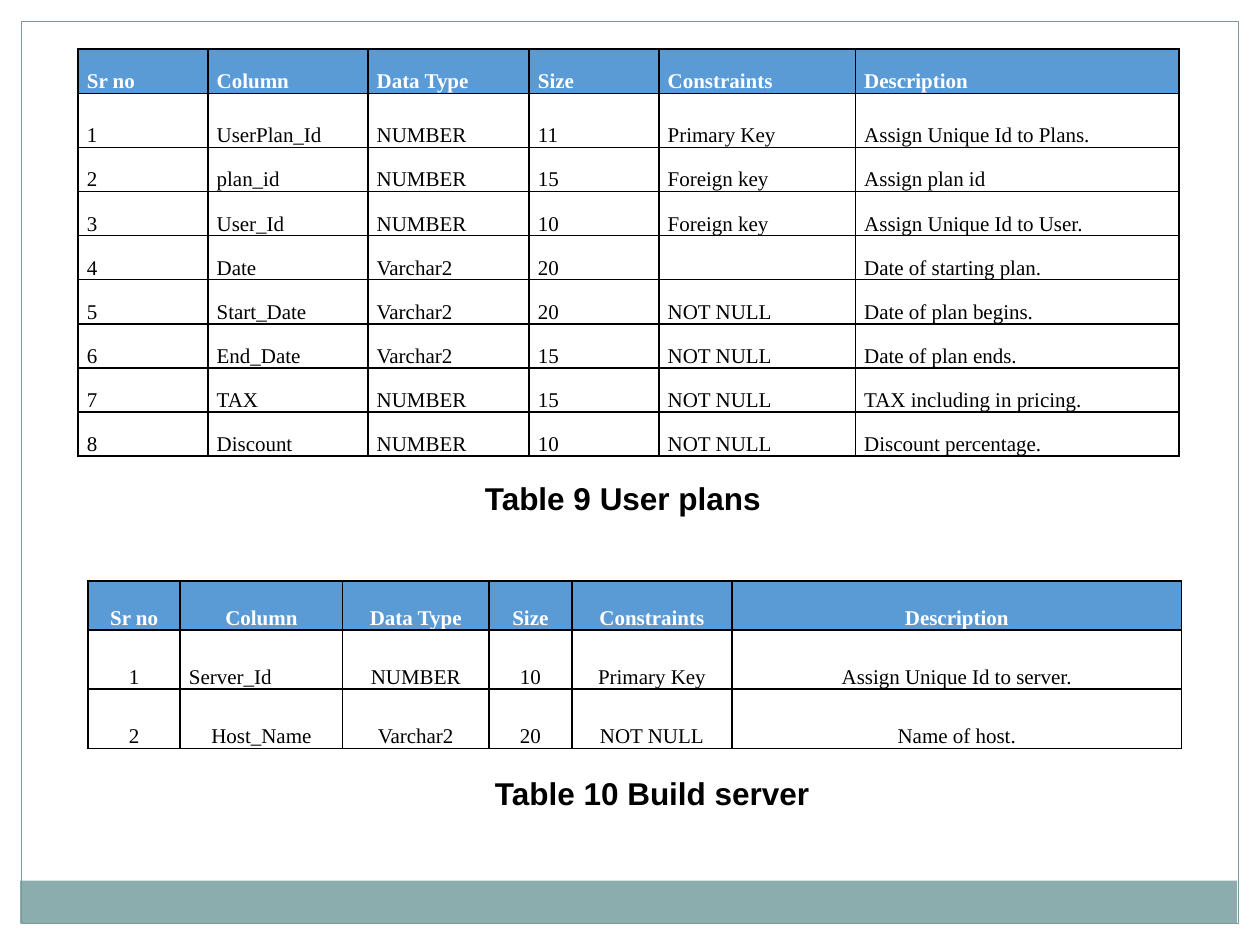
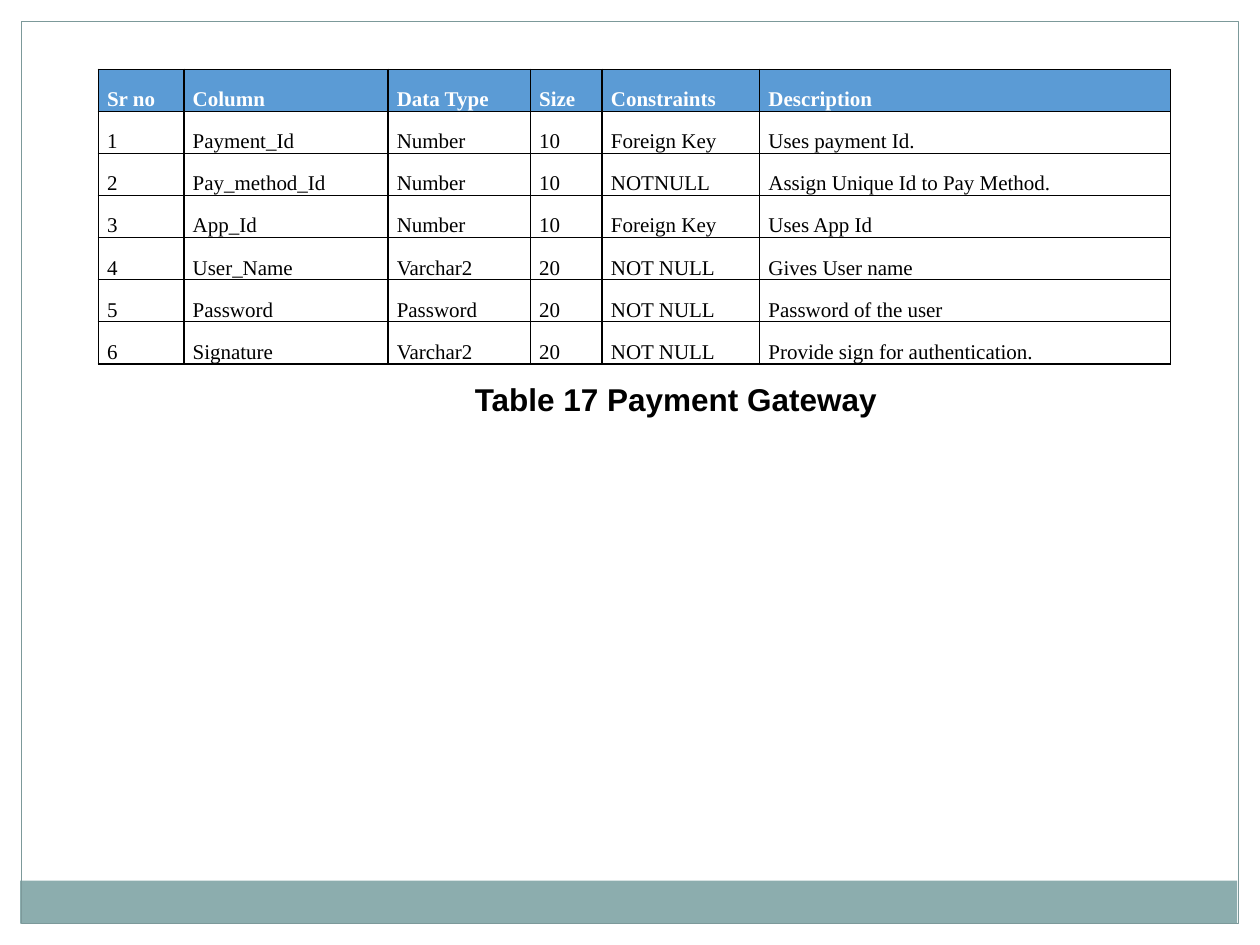
"""Build two slides of database table descriptions with captions."""
from lxml import etree
from pptx import Presentation
from pptx.dml.color import RGBColor
from pptx.enum import shapes, text
from pptx.oxml import ns
from pptx.util import Inches, Pt

COLOURS = {"paper": "FFFFFF", "band": "8CADAE", "frame": "7C999A",
           "header": "5B9BD5", "ink": "000000"}
HEADER_FONT = {"name": "Times New Roman", "size": Pt(12), "bold": True}
BODY_FONT = {**HEADER_FONT, "bold": False}
CAPTION_FONT = {"name": "Arial", "size": Pt(18), "bold": True}
CELL_FORMAT = {"margin_left": Inches(0.07), "margin_right": Inches(0.07),
               "margin_top": 0, "margin_bottom": 0,
               "vertical_anchor": text.MSO_ANCHOR.BOTTOM}
LEFT, CENTER = text.PP_ALIGN.LEFT, text.PP_ALIGN.CENTER

BACKDROP = [
    ((0, 0, 10, 0.17), "paper", None),
    ((9.83, 0, 0.17, 7.5), "paper", None),
    ((0, 0, 0.17, 7.5), "paper", None),
    ((0.16, 6.99, 9.66, 0.34), "band", None),
    ((0.17, 0.17, 9.66, 7.16), None, "frame"),
]
HEADINGS = ("Sr no", "Column", "Data Type", "Size", "Constraints", "Description")

USER_PLANS = {
    "at": (0.62, 0.39), "align": LEFT, "left_cells": (),
    "widths": (1.03, 1.27, 1.28, 1.03, 1.56, 2.57),
    "heights": (0.35, 0.43) + (0.35,) * 7,
    "caption": ("Table 9 User plans", (3.75, 3.75, 2.41, 0.4)),
    "rows": [
        ("UserPlan_Id", "NUMBER", "11", "Primary Key", "Assign Unique Id to Plans."),
        ("plan_id", "NUMBER", "15", "Foreign key", "Assign plan id"),
        ("User_Id", "NUMBER", "10", "Foreign key", "Assign Unique Id to User."),
        ("Date", "Varchar2", "20", "", "Date of starting plan."),
        ("Start_Date", "Varchar2", "20", "NOT NULL", "Date of plan begins."),
        ("End_Date", "Varchar2", "15", "NOT NULL", "Date of plan ends."),
        ("TAX", "NUMBER", "15", "NOT NULL", "TAX including in pricing."),
        ("Discount", "NUMBER", "10", "NOT NULL", "Discount percentage."),
    ],
}
BUILD_SERVER = {
    "at": (0.7, 4.61), "align": CENTER, "left_cells": ("Server_Id",),
    "widths": (0.73, 1.29, 1.16, 0.66, 1.27, 3.57),
    "heights": (0.39, 0.47, 0.47),
    "caption": ("Table 10 Build server", (3.83, 6.09, 2.72, 0.4)),
    "rows": [
        ("Server_Id", "NUMBER", "10", "Primary Key", "Assign Unique Id to server."),
        ("Host_Name", "Varchar2", "20", "NOT NULL", "Name of host."),
    ],
}
PAYMENT_GATEWAY = {
    "at": (0.78, 0.55), "align": LEFT, "left_cells": (),
    "widths": (0.68, 1.62, 1.13, 0.57, 1.25, 3.26),
    "heights": (0.334,) * 7,
    "caption": ("Table 17 Payment Gateway", (3.67, 2.97, 3.42, 0.4)),
    "rows": [
        ("Payment_Id", "Number", "10", "Foreign Key", "Uses payment Id."),
        ("Pay_method_Id", "Number", "10", "NOTNULL", "Assign Unique Id to Pay Method."),
        ("App_Id", "Number", "10", "Foreign Key", "Uses App Id"),
        ("User_Name", "Varchar2", "20", "NOT NULL", "Gives User name"),
        ("Password", "Password", "20", "NOT NULL", "Password of the user"),
        ("Signature", "Varchar2", "20", "NOT NULL", "Provide sign for authentication."),
    ],
}
PAGES = [[USER_PLANS, BUILD_SERVER], [PAYMENT_GATEWAY]]


def colour(name):
    return RGBColor.from_string(COLOURS[name])


def apply(target, values):
    for name, value in values.items():
        setattr(target, name, value)


def write(para, words, font, ink):
    span = para.add_run()
    span.text = words
    apply(span.font, font)
    span.font.color.rgb = colour(ink)


def add_backdrop(page, layout):
    for placeholder in list(layout.placeholders):
        layout.shapes.element.remove(placeholder.element)
    for place, fill, line in BACKDROP:
        box = page.shapes.add_shape(shapes.MSO_SHAPE.RECTANGLE, *map(Inches, place))
        box.shadow.inherit = False
        if fill:
            box.fill.solid()
            box.fill.fore_color.rgb = colour(fill)
        else:
            box.fill.background()
        if line:
            box.line.color.rgb = colour(line)
            box.line.width = Pt(0.75)
        else:
            box.line.fill.background()
        layout.shapes.element.append(box.element)


def add_borders(cell):
    props = cell._tc.get_or_add_tcPr()
    for side in ("lnL", "lnR", "lnT", "lnB"):
        line = etree.SubElement(props, ns.qn(f"a:{side}"), w=str(Pt(1)))
        fill = etree.SubElement(line, ns.qn("a:solidFill"))
        etree.SubElement(fill, ns.qn("a:srgbClr"), val=COLOURS["ink"])


def format_cell(cell, words, is_header, align):
    apply(cell, CELL_FORMAT)
    add_borders(cell)
    if is_header:
        cell.fill.solid()
        cell.fill.fore_color.rgb = colour("header")
    else:
        cell.fill.background()
    para = cell.text_frame.paragraphs[0]
    para.alignment = align
    write(para, words, HEADER_FONT if is_header else BODY_FONT,
          "paper" if is_header else "ink")


def add_grid(page, entry):
    widths, heights = entry["widths"], entry["heights"]
    size = (sum(widths), sum(heights))
    grid = page.shapes.add_table(len(heights), len(widths),
                                 *map(Inches, entry["at"] + size)).table
    apply(grid, {"first_row": False, "horz_banding": False})
    for column, width in zip(grid.columns, widths):
        column.width = Inches(width)
    for row, height in zip(grid.rows, heights):
        row.height = Inches(height)
    numbered = [(str(n), *row) for n, row in enumerate(entry["rows"], 1)]
    for r, row in enumerate([HEADINGS, *numbered]):
        for c, words in enumerate(row):
            align = LEFT if words in entry["left_cells"] else entry["align"]
            format_cell(grid.cell(r, c), words, r == 0, align)


def add_caption(page, words, place):
    box = page.shapes.add_textbox(*map(Inches, place))
    apply(box.text_frame, {"word_wrap": False,
                           "auto_size": text.MSO_AUTO_SIZE.SHAPE_TO_FIT_TEXT})
    write(box.text_frame.paragraphs[0], words, CAPTION_FONT, "ink")


def main():
    deck = Presentation()
    apply(deck, {"slide_width": Inches(10), "slide_height": Inches(7.5)})
    layout = deck.slide_layouts[6]
    for number, entries in enumerate(PAGES):
        page = deck.slides.add_slide(layout)
        if number == 0:
            add_backdrop(page, layout)
        for entry in entries:
            add_grid(page, entry)
            add_caption(page, *entry["caption"])
    deck.save("out.pptx")


if __name__ == "__main__":
    main()
